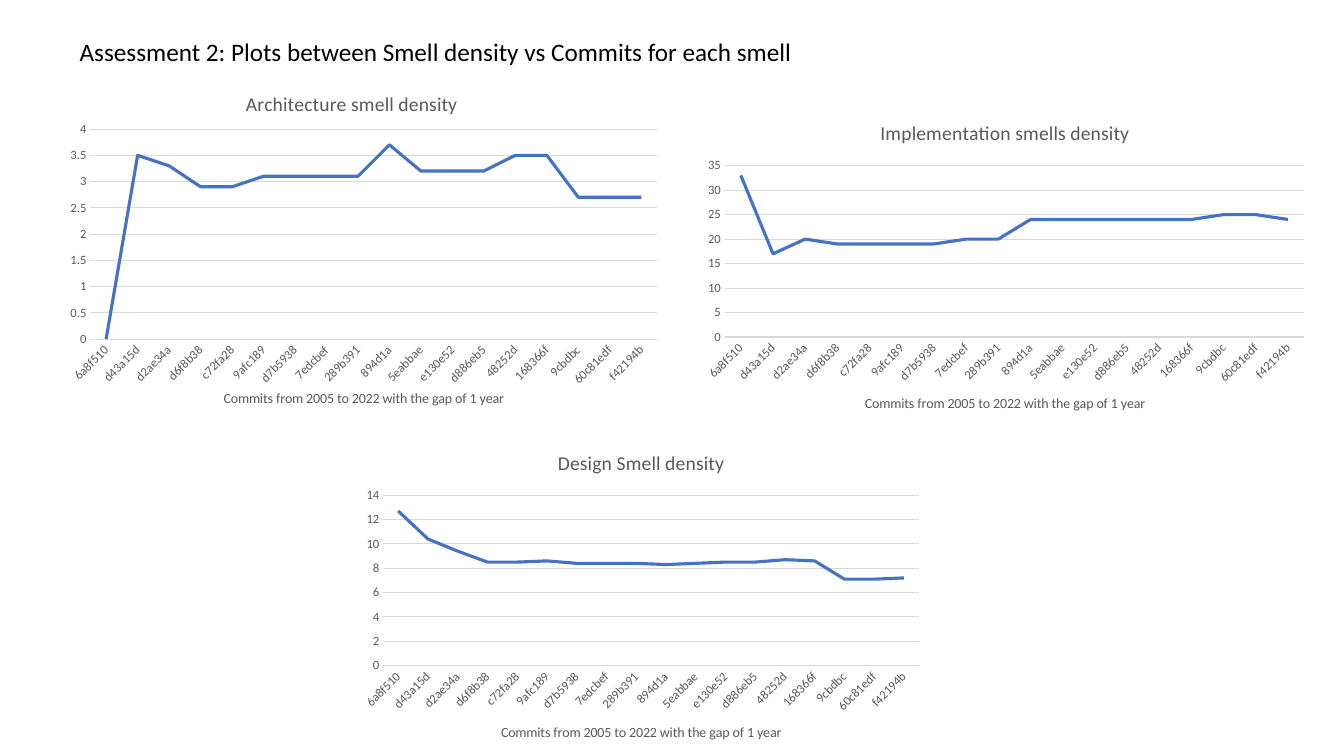
from lxml import etree
from pptx import Presentation
from pptx.chart.data import CategoryChartData
from pptx.dml.color import RGBColor
from pptx.enum.chart import XL_CHART_TYPE, XL_TICK_MARK
from pptx.enum.text import MSO_ANCHOR, MSO_AUTO_SIZE, PP_ALIGN
from pptx.oxml import parse_xml
from pptx.oxml.ns import nsdecls, qn
from pptx.util import Pt

LINE = XL_CHART_TYPE.LINE
NO_TICK = XL_TICK_MARK.NONE
LEFT, MIDDLE = PP_ALIGN.LEFT, MSO_ANCHOR.MIDDLE
GROW = MSO_AUTO_SIZE.SHAPE_TO_FIT_TEXT

BLACK = RGBColor(0x00, 0x00, 0x00)
GRAY = RGBColor(0x59, 0x59, 0x59)
GRID = RGBColor(0xD9, 0xD9, 0xD9)
BLUE = RGBColor(0x44, 0x72, 0xC4)
FONT = "Calibri"

# Content
TITLE = "Assessment 2: Plots between Smell density vs Commits for each smell"
TITLE_BOX = (49.7, 22.3, 535.7, 28.8)
AXIS_TITLE = "Commits from 2005 to 2022 with the gap of 1 year"
COMMITS = [
    "6a8f510", "d43a15d", "d2ae34a", "d6f8b38", "c72fa28", "9afc189",
    "d7b5938", "7edcbef", "289b391", "894d1a", "5eabbae", "e130e52",
    "d886eb5", "48252d", "168366f", "9cbdbc", "60c81edf", "f42194b",
]
# Each chart: title, box, axis maximum, axis step, inner plot fractions, values
CHARTS = [
    ("Design Smell density", (251.3, 309.6, 413.3, 234), 14, 2, None,
     [12.7, 10.4, 9.4, 8.5, 8.5, 8.6, 8.4, 8.4, 8.4,
      8.3, 8.4, 8.5, 8.5, 8.7, 8.6, 7.1, 7.1, 7.2]),
    ("Architecture smell density", (27.4, 53.3, 447.8, 240.5), 4, 0.5,
     {"x": 0.083, "y": 0.162, "w": 0.904, "h": 0.624},
     [0, 3.5, 3.3, 2.9, 2.9, 3.1, 3.1, 3.1, 3.1,
      3.7, 3.2, 3.2, 3.2, 3.5, 3.5, 2.7, 2.7, 2.7]),
    ("Implementation smells density", (495.4, 74.2, 445, 234.7), 35, 5, None,
     [33, 17, 20, 19, 19, 19, 19, 20, 20,
      24, 24, 24, 24, 24, 24, 25, 25, 24]),
]


def style(font, size, color):
    font.name, font.size, font.bold = FONT, Pt(size), False
    font.color.rgb = color


def write(tf, text, size, color):
    p = tf.paragraphs[0]
    r = p.add_run()
    r.text = text
    style(r.font, size, color)
    return p


def set_line(line, color, width):
    line.color.rgb = color
    line.width = Pt(width)


def set_inner_plot(chart, fractions):
    area = chart._chartSpace.find(".//" + qn("c:plotArea"))
    for old in area.findall(qn("c:layout")):
        area.remove(old)
    layout = parse_xml(f"<c:layout {nsdecls('c')}/>")
    manual = etree.SubElement(layout, qn("c:manualLayout"))
    settings = {"layoutTarget": "inner", "xMode": "edge", "yMode": "edge",
                **fractions}
    for tag, val in settings.items():
        etree.SubElement(manual, qn("c:" + tag)).set("val", str(val))
    area.insert(0, layout)


def add_density_chart(s, title, box, top, step, plot, values):
    data = CategoryChartData()
    data.categories = COMMITS
    data.add_series("Series 1", values)
    chart = s.shapes.add_chart(LINE, *map(Pt, box), data).chart
    style(chart.font, 10, BLACK)
    chart.has_legend = False
    chart.has_title = True
    write(chart.chart_title.text_frame, title, 14, GRAY)

    # Axes
    cat, val = chart.category_axis, chart.value_axis
    for axis in (cat, val):
        axis.major_tick_mark = axis.minor_tick_mark = NO_TICK
        style(axis.tick_labels.font, 9, GRAY)
    set_line(cat.format.line, GRID, 0.75)
    cat.has_title = True
    write(cat.axis_title.text_frame, AXIS_TITLE, 10, GRAY)
    labels = cat._element.find(qn("c:txPr")).find(qn("a:bodyPr"))
    labels.set("rot", str(-45 * 60000))
    val.minimum_scale, val.maximum_scale, val.major_unit = 0, top, step
    val.format.line.fill.background()
    val.has_major_gridlines = True
    set_line(val.major_gridlines.format.line, GRID, 0.75)

    # Density line
    chart.plots[0].vary_by_categories = False
    series = chart.plots[0].series[0]
    series.smooth = False
    set_line(series.format.line, BLUE, 2.25)
    if plot:
        set_inner_plot(chart, plot)


prs = Presentation()
prs.slide_width, prs.slide_height = Pt(960), Pt(540)
s = prs.slides.add_slide(prs.slide_layouts[5])

# Charts
for chart_content in CHARTS:
    add_density_chart(s, *chart_content)

# Slide title
sp = s.shapes.title
sp.left, sp.top, sp.width, sp.height = map(Pt, TITLE_BOX)
tf = sp.text_frame
tf.word_wrap = False
tf.auto_size = GROW
tf.vertical_anchor = MIDDLE
write(tf, TITLE, 18, BLACK).alignment = LEFT

prs.save("out.pptx")
